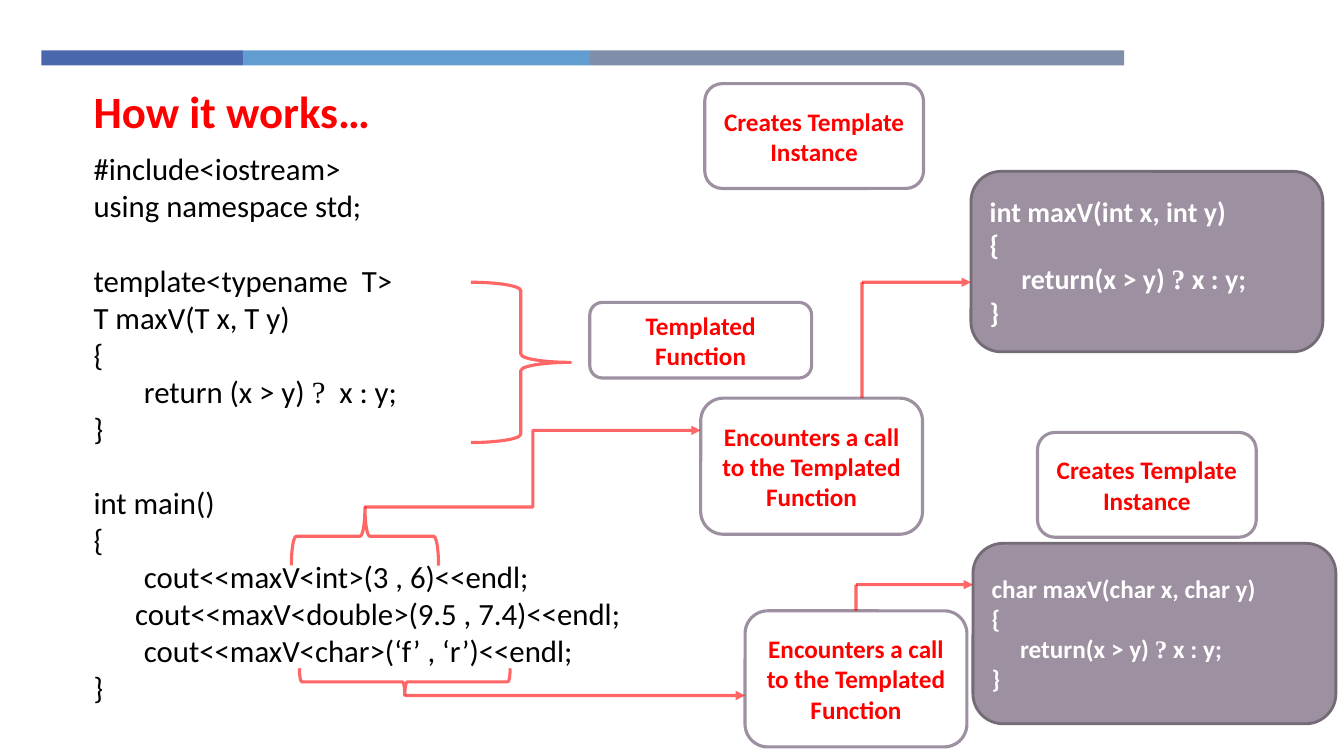
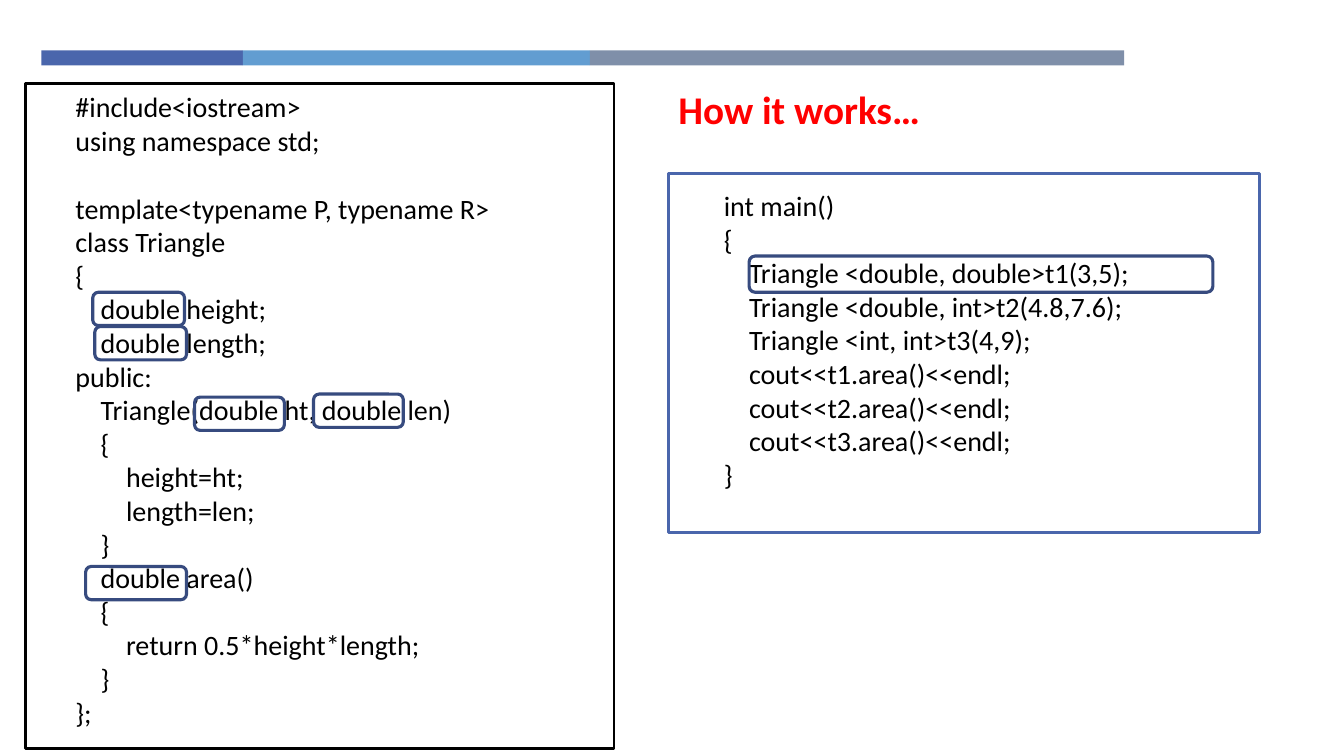
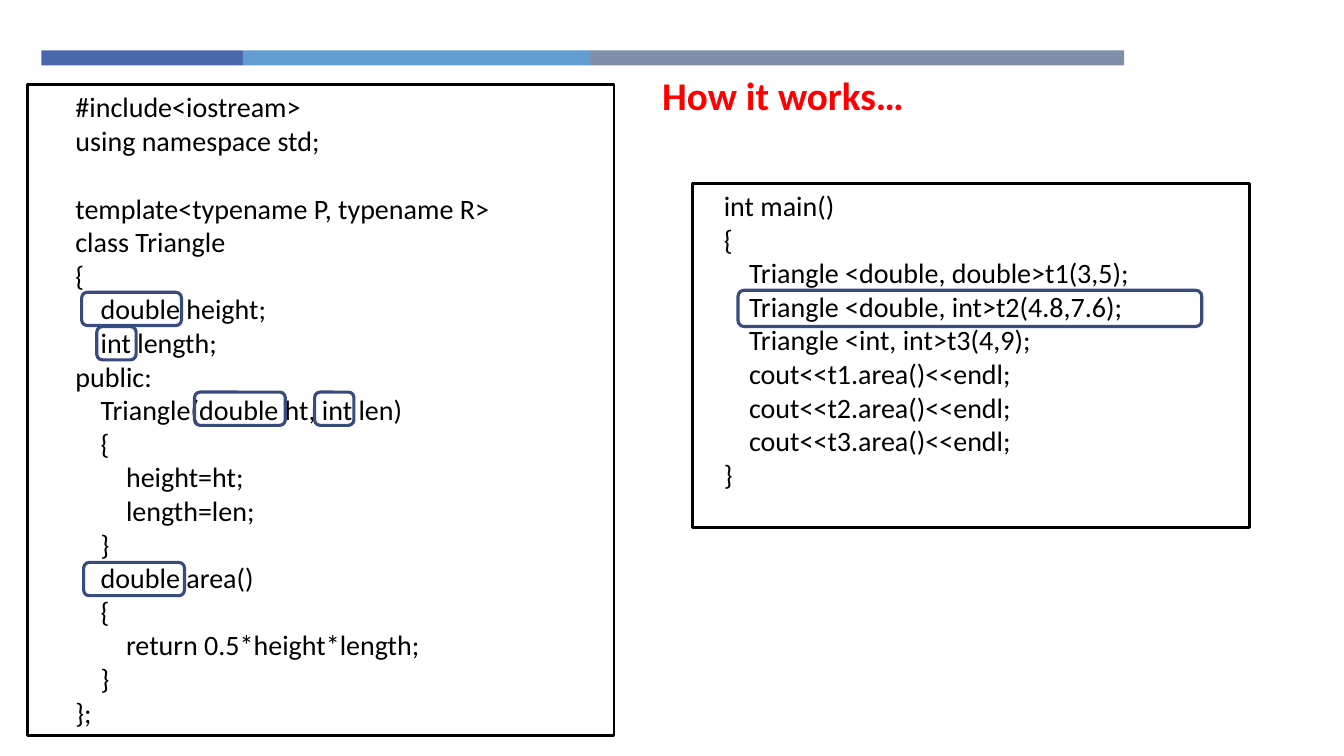
from dataclasses import dataclass

from lxml.etree import SubElement
from pptx import Presentation
from pptx.dml.color import RGBColor as RGB
from pptx.enum.shapes import MSO_CONNECTOR as CONN, MSO_SHAPE as SHAPE
from pptx.enum.text import MSO_ANCHOR as ANCHOR, MSO_AUTO_SIZE as AUTO, PP_ALIGN as ALIGN
from pptx.oxml.ns import qn
from pptx.util import Emu, Pt

PX = 9144


@dataclass(frozen=True)
class Theme:
    """Colours, fonts and type sizes of the deck."""
    red: str = "FF0000"
    black: str = "000000"
    white: str = "FFFFFF"
    blue: str = "4A66AC"
    sky: str = "629DD1"
    slate: str = "7F8FA9"
    mark: str = "374B7F"
    mauve: str = "9D90A0"
    plum: str = "746B76"
    font: str = "Calibri"
    symbol: str = "Times New Roman"
    title: int = 32
    subtitle: int = 28
    code: int = 22
    listing: int = 20
    note: int = 18
    alpha: int = 60000
    stroke: float = 2.25
    frame: float = 2
    leading: float = 1.22


T = Theme()

PROGRAM = """#include<iostream>
using namespace std;

template<typename  T>
T maxV(T x, T y)
{
\treturn (x > y) ?  x : y;
}

int main()
{
\tcout<<maxV<int>(3 , 6)<<endl;
      cout<<maxV<double>(9.5 , 7.4)<<endl;
\tcout<<maxV<char>(‘f’ , ‘r’)<<endl;
}"""

INSTANCE = """{0} maxV({0} x, {0} y)
{{
     return(x > y) ? x : y;
}}"""

TRIANGLE = """#include<iostream>
using namespace std;

template<typename P, typename R>
class Triangle
{{
    double height;
    {0} length;
public:
    Triangle(double ht, {0} len)
    {{
        height=ht;
        length=len;
    }}
    double area()
    {{
        return 0.5*height*length;
    }}
}};"""

MAIN = """int main()
{
    Triangle <double, double>t1(3,5);
    Triangle <double, int>t2(4.8,7.6);
    Triangle <int, int>t3(4,9);
    cout<<t1.area()<<endl;
    cout<<t2.area()<<endl;
    cout<<t3.area()<<endl;
}"""


def px(*values):
    """Turn px lengths into EMU."""
    return [Emu(v * PX) for v in values]


def put(obj, **values):
    """Set each given attribute on an object."""
    for name, value in values.items():
        setattr(obj, name, value)


def shift(box, x, y):
    """Move a box or point by an offset."""
    return (box[0] + x, box[1] + y, *box[2:])


def write(tf, text, size, color, bold=False, align=ALIGN.LEFT, spacing=None):
    """Write lines, turning a blank line into space before the next."""
    put(tf, word_wrap=True)
    gap, p = 0, None
    for line in text.split("\n"):
        if not line:
            gap = size * T.leading
            continue
        p = tf.add_paragraph() if p is not None else tf.paragraphs[0]
        put(p, alignment=align, line_spacing=spacing)
        if gap:
            p.space_before = Pt(round(gap, 2))
        gap = 0
        for part in line.partition("?"):
            if part:
                r = p.add_run()
                r.text = part
                face = T.symbol if part == "?" else T.font
                put(r.font, name=face, size=Pt(size), bold=bold)
                put(r.font.color, rgb=RGB.from_string(color))


def text_box(s, box, text, size, color=T.black, **style):
    """Add a growing text box."""
    tf = s.shapes.add_textbox(*px(*box)).text_frame
    write(tf, text, size, color, **style)
    put(tf, auto_size=AUTO.SHAPE_TO_FIT_TEXT)


def shape(s, kind, box, fill=None, line=None, width=T.stroke):
    """Add a flat preset shape."""
    sp = s.shapes.add_shape(kind, *px(*box))
    sp.shadow.inherit = False
    for part, color in ((sp.fill, fill), (sp.line.fill, line)):
        if color:
            part.solid()
            put(part.fore_color, rgb=RGB.from_string(color))
        else:
            part.background()
    if line:
        put(sp.line, width=Pt(width))
    return sp


def soften(line):
    """Make a line partly transparent and return its element."""
    ln = line._get_or_add_ln()
    SubElement(ln.find(".//" + qn("a:srgbClr")), qn("a:alpha"), val=str(T.alpha))
    return ln


def brace(s, box, turn=0):
    """Add a right brace turned by the given angle."""
    sp = shape(s, SHAPE.RIGHT_BRACE, box, line=T.red)
    put(sp, rotation=turn)
    soften(sp.line)


def link(s, start, end, arrow=True, target=None):
    """Join two points, with an elbow when they differ both ways."""
    bent = start[0] != end[0] and start[1] != end[1]
    cn = s.shapes.add_connector(CONN.ELBOW if bent else CONN.STRAIGHT, *px(*start, *end))
    put(cn.line, width=Pt(T.stroke))
    put(cn.line.color, rgb=RGB.from_string(T.red))
    ln = soften(cn.line)
    if arrow:
        SubElement(ln, qn("a:tailEnd"), type="triangle")
    SubElement(cn._element.spPr, qn("a:effectLst"))
    if target is not None:
        cn.end_connect(target, 0)


def note(s, box, text):
    """Add a white rounded note with red text."""
    sp = shape(s, SHAPE.ROUNDED_RECTANGLE, box, T.white, T.mauve)
    put(sp.text_frame, vertical_anchor=ANCHOR.MIDDLE)
    write(sp.text_frame, text, T.note, T.red, bold=True, align=ALIGN.CENTER)
    return sp


def card(s, box, text, size):
    """Add a filled card that holds a template instance."""
    sp = shape(s, SHAPE.ROUNDED_RECTANGLE, box, T.mauve, T.plum, T.frame)
    put(sp.text_frame, vertical_anchor=ANCHOR.MIDDLE)
    write(sp.text_frame, text, size, T.white, bold=True)


def flow(s, origin, kind, size, turn, brace_box, call, made, result, tip, entry, corner):
    """Draw the path from a call to its template instance."""
    brace_box, call, made, result, tip, entry, corner = (
        shift(b, *origin) for b in (brace_box, call, made, result, tip, entry, corner))
    brace(s, brace_box, turn)
    caller = note(s, call, "Encounters a call to the Templated Function")
    note(s, made, "Creates Template Instance")
    card(s, result, INSTANCE.format(kind), size)
    link(s, tip, entry)
    centred = corner[0] == call[0] + call[2] // 2
    link(s, corner, (corner[0], call[1]), arrow=False, target=caller if centred else None)
    link(s, corner, (result[0], corner[1]))


def code_panel(s, frame, line, box, text, marks):
    """Add a framed listing with marks placed relative to its text box."""
    shape(s, SHAPE.RECTANGLE, frame, T.white, line, T.frame)
    text_box(s, box, text, T.listing)
    for mark in marks:
        shape(s, SHAPE.ROUNDED_RECTANGLE, shift(mark, *box[:2]), line=T.mark)


def new_slide(prs, box, size, spacing=None):
    """Add a slide with the colour band and the title."""
    s = prs.slides.add_slide(prs.slide_layouts[6])
    for x, w, color in ((41, 200, T.blue), (241, 344, T.sky), (585, 530, T.slate)):
        shape(s, SHAPE.RECTANGLE, (x, 50, w, 15), color)
    text_box(s, box, "How it works…", size, T.red, bold=True, spacing=spacing)
    return s


def function_slide(prs):
    """Build the slide on function templates."""
    s = new_slide(prs, (83, 78, 499, 64), T.title)
    text_box(s, (83, 144, 667, 565), PROGRAM, T.code)
    brace(s, (467, 280, 99, 159))
    note(s, (585, 300, 220, 75), "Templated Function")
    flow(s, (289, 83), "int", T.listing, 270,
         brace_box=(44, 376, 58, 146), call=(406, 312, 220, 135),
         made=(410, 0, 217, 104), result=(674, 87, 349, 179),
         tip=(73, 420), entry=(406, 344), corner=(566, 197))
    flow(s, (297, 429), "char", T.note, 90,
         brace_box=(91, 143, 27, 209), call=(442, 177, 220, 135),
         made=(732, 0, 217, 104), result=(668, 110, 360, 179),
         tip=(105, 261), entry=(442, 261), corner=(552, 151))


def class_slide(prs, title, kind, left, right, right_line, marks, call_mark):
    """Build a slide on one instance of the class template."""
    s = new_slide(prs, title, T.subtitle, 2.0)
    code_panel(s, right, right_line, (708, 182, 531, 313), MAIN, [call_mark])
    code_panel(s, left, T.black, (65, 84, 570, 646), TRIANGLE.format(kind), marks)


def main():
    """Build and save the deck."""
    prs = Presentation()
    width, height = px(1333, 750)
    put(prs, slide_width=width, slide_height=height)
    function_slide(prs)
    class_slide(prs, (663, 33, 531, 89), "double",
                (25, 83, 584, 660), (663, 172, 586, 356), T.blue,
                [(27, 206, 91, 33), (29, 240, 91, 33), (128, 310, 89, 33),
                 (246, 307, 89, 33), (20, 478, 100, 33)],
                (35, 72, 460, 36))
    class_slide(prs, (647, 19, 410, 104), "int",
                (27, 84, 582, 646), (687, 182, 552, 341), T.black,
                [(16, 206, 99, 33), (31, 240, 39, 33), (128, 305, 90, 33),
                 (247, 305, 39, 33), (18, 474, 100, 33)],
                (24, 106, 460, 36))
    prs.save("out.pptx")


if __name__ == "__main__":
    main()
